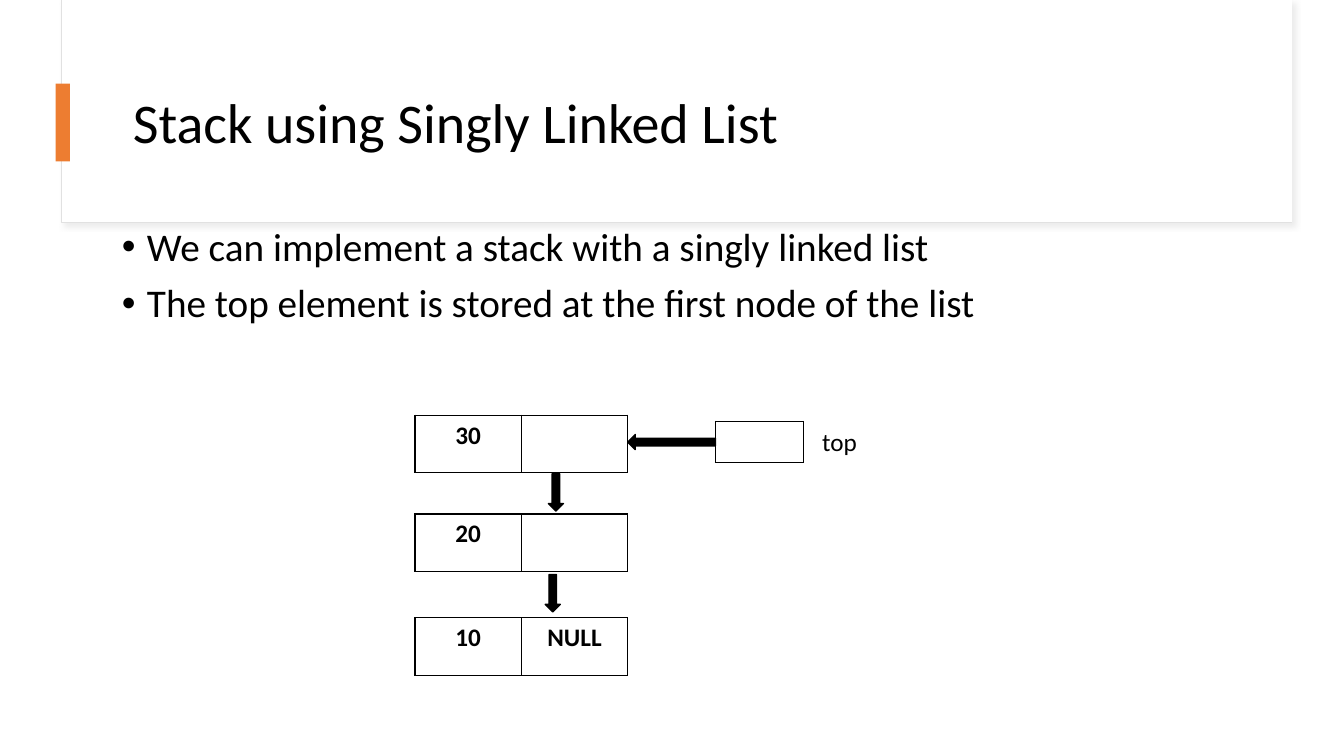
from dataclasses import dataclass

from lxml import etree
from pptx import Presentation
from pptx import util as u
from pptx.dml.color import RGBColor
from pptx.enum import shapes, text
from pptx.oxml import ns

BLACK = RGBColor(0x00, 0x00, 0x00)
WHITE = RGBColor(0xFF, 0xFF, 0xFF)
ORANGE = RGBColor(0xED, 0x7D, 0x31)
BORDER = RGBColor(0xE1, 0xE1, 0xE1)
SHADOW = RGBColor(0xD9, 0xD9, 0xD9)
FONT = "Calibri"
KIND = shapes.MSO_SHAPE


@dataclass(frozen=True)
class Box:
    left: float
    top: float
    width: float
    height: float

    def emu(self) -> tuple:
        return tuple(u.Cm(v) for v in (self.left, self.top, self.width, self.height))


@dataclass(frozen=True)
class Block:
    kind: KIND
    box: Box
    fill: RGBColor
    line: RGBColor | None = None
    line_width: float = 1


@dataclass(frozen=True)
class Node:
    box: Box
    values: tuple[str, ...]
    fill: RGBColor | None = None


CARD = Block(KIND.RECTANGLE, Box(1.55, 0, 31.01, 5.61), WHITE, BORDER, 0.75)
CARD_FACE = Block(KIND.RECTANGLE, Box(1.57, 0, 30.99, 5.59), WHITE)
ACCENT = Block(KIND.RECTANGLE, Box(1.4, 2.11, 0.36, 1.96), ORANGE)

BULLETS = (
    "We can implement a stack with a singly linked list",
    "The top element is stored at the first node of the list",
)
NODES = (
    Node(Box(10.46, 10.46, 5.36, 1.45), ("30", "")),
    Node(Box(10.46, 12.95, 5.36, 1.45), ("20", "")),
    Node(Box(10.46, 15.57, 5.36, 1.45), ("10", "NULL")),
    Node(Box(18.03, 10.62, 2.21, 1.04), ("",), WHITE),
)
ARROWS = (
    Block(KIND.DOWN_ARROW, Box(13.82, 11.94, 0.38, 0.94), BLACK, BLACK),
    Block(KIND.DOWN_ARROW, Box(13.74, 14.48, 0.38, 0.94), BLACK, BLACK),
    Block(KIND.LEFT_ARROW, Box(15.82, 10.95, 2.21, 0.38), BLACK, BLACK),
)


def child(parent, tag: str, **attrs: str):
    return etree.SubElement(parent, ns.qn(tag), attrs)


def set_font(p, size: float, bold: bool = False) -> None:
    p.font.name = FONT
    p.font.size = u.Pt(size)
    p.font.bold = bold
    p.font.color.rgb = BLACK


def add_block(s, block: Block):
    sp = s.shapes.add_shape(block.kind, *block.box.emu())
    sp.shadow.inherit = False
    sp.fill.solid()
    sp.fill.fore_color.rgb = block.fill
    if block.line is None:
        sp.line.fill.background()
    else:
        sp.line.color.rgb = block.line
        sp.line.width = u.Pt(block.line_width)
    return sp


def add_shadow(sp) -> None:
    effects = sp._element.spPr.find(ns.qn("a:effectLst"))
    shadow = child(effects, "a:outerShdw", blurRad=str(u.Pt(4)), dist=str(u.Pt(3)),
                   dir="2700000", algn="tl", rotWithShape="0")
    color = child(shadow, "a:srgbClr", val=str(SHADOW))
    child(color, "a:alpha", val="50000")


def add_text(s, box: Box, lines: tuple[str, ...], size: float, wrap: bool = True):
    tf = s.shapes.add_textbox(*box.emu()).text_frame
    tf.word_wrap = wrap
    tf.text = "\n".join(lines)
    for p in tf.paragraphs:
        set_font(p, size)
    return tf


def add_bullet(p) -> None:
    p.line_spacing = 0.9
    p.space_before = u.Pt(10)
    pPr = p._p.get_or_add_pPr()
    pPr.set("marL", str(u.Cm(0.635)))
    pPr.set("indent", str(-u.Cm(0.635)))
    font = etree.Element(ns.qn("a:buFont"), typeface="Arial")
    mark = etree.Element(ns.qn("a:buChar"), char="•")
    defaults = pPr.find(ns.qn("a:defRPr"))
    defaults.addprevious(font)
    defaults.addprevious(mark)


def add_borders(cell) -> None:
    tcPr = cell._tc.get_or_add_tcPr()
    for side in ("a:lnL", "a:lnR", "a:lnT", "a:lnB"):
        ln = child(tcPr, side, w=str(u.Pt(1)))
        child(child(ln, "a:solidFill"), "a:srgbClr", val=str(BLACK))


def add_node(s, node: Node) -> None:
    table = s.shapes.add_table(1, len(node.values), *node.box.emu()).table
    table.first_row = table.horz_banding = False
    for cell, value in zip(table.iter_cells(), node.values):
        add_borders(cell)
        if node.fill is None:
            cell.fill.background()
        else:
            cell.fill.solid()
            cell.fill.fore_color.rgb = node.fill
        cell.text = value
        p = cell.text_frame.paragraphs[0]
        p.alignment = text.PP_ALIGN.CENTER
        set_font(p, 18, bold=True)


def main() -> None:
    prs = Presentation()
    prs.slide_width, prs.slide_height = u.Cm(33.87), u.Cm(19.05)
    s = prs.slides.add_slide(prs.slide_layouts[6])

    # Title card
    add_shadow(add_block(s, CARD))
    add_block(s, CARD_FACE)
    tf = add_text(s, Box(3.1, 1.52, 28.24, 3.28), ("Stack using Singly Linked List",), 40)
    tf.vertical_anchor = text.MSO_ANCHOR.MIDDLE
    tf.paragraphs[0].line_spacing = 0.9
    add_block(s, ACCENT)

    # Bullets
    tf = add_text(s, Box(2.82, 5.61, 28.24, 3.91), BULLETS, 28)
    for p in tf.paragraphs:
        add_bullet(p)

    # Linked list with its top pointer
    for node in NODES:
        add_node(s, node)
    for arrow in ARROWS:
        add_block(s, arrow)
    tf = add_text(s, Box(20.47, 10.62, 1.4, 1.02), ("top",), 18, wrap=False)
    tf.auto_size = text.MSO_AUTO_SIZE.SHAPE_TO_FIT_TEXT

    prs.save("out.pptx")


if __name__ == "__main__":
    main()
